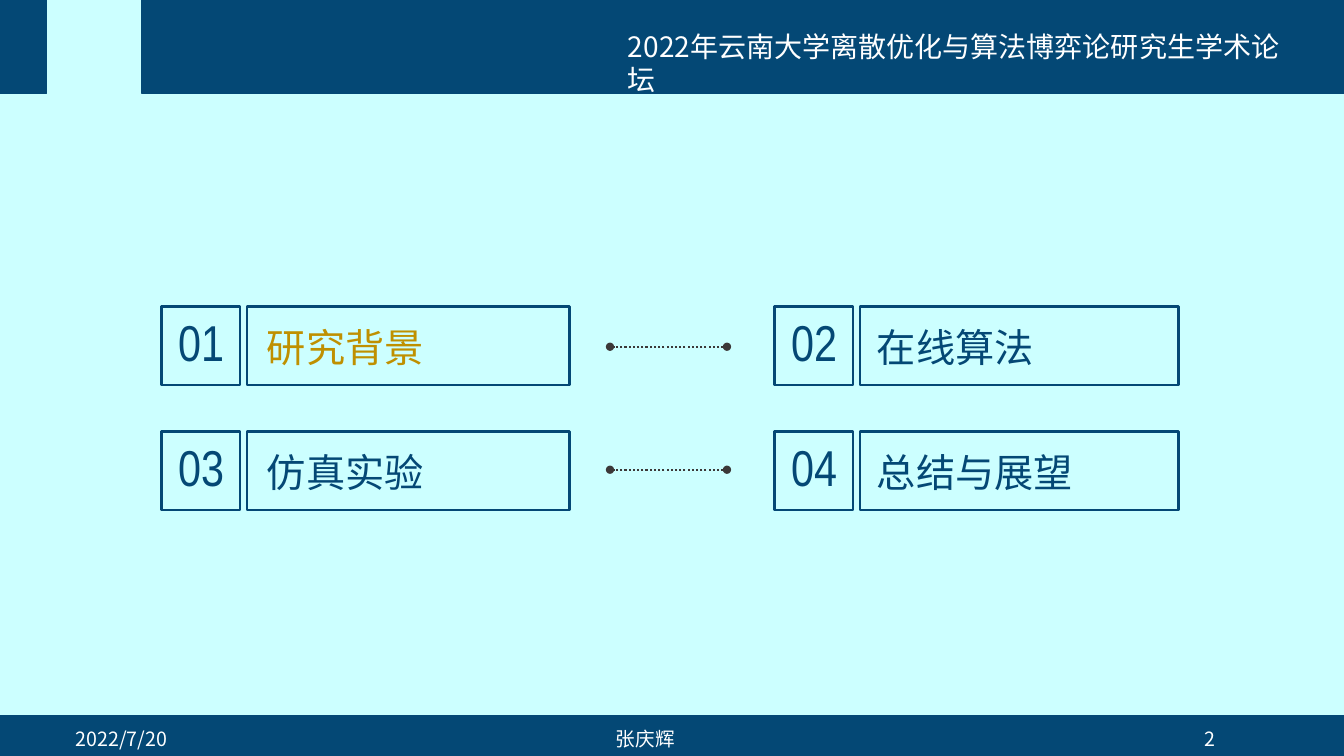
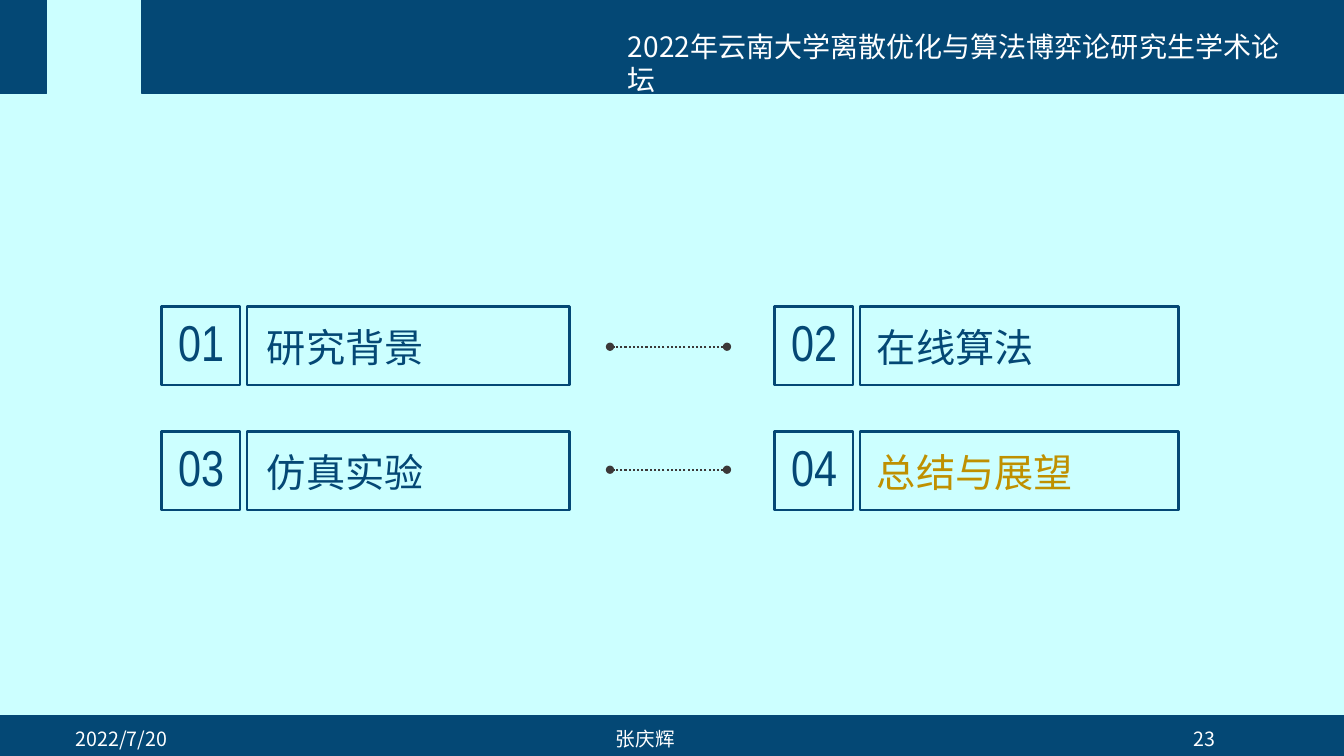
import lxml.etree
import pptx
import pptx.dml.color
import pptx.enum.dml
import pptx.enum.shapes
import pptx.enum.text
import pptx.oxml.ns
import pptx.util

inch = pptx.util.Inches
align = pptx.enum.text.PP_ALIGN
rect = pptx.enum.shapes.MSO_SHAPE.RECTANGLE
qn = pptx.oxml.ns.qn

# Theme: colours, fonts and type sizes
theme = {
    "back": "CCFFFF", "navy": "044875", "gold": "BF9000",
    "gray": "3B3838", "white": "FFFFFF",
    "sans": "Noto Sans CJK SC", "serif": "Times New Roman",
    "slim": "Arial Narrow",
    "title": 20, "label": 28, "digit": 36, "foot": 14,
}
wide, high = 13.33, 7.5


def tint(name):
    return pptx.dml.color.RGBColor.from_string(theme[name])


def write(home, text, at, size, font="sans", color="white",
          side=align.LEFT, mid=False):
    box = home.shapes.add_textbox(*map(inch, at))
    frame = box.text_frame
    frame.word_wrap = True
    if mid:
        frame.vertical_anchor = pptx.enum.text.MSO_ANCHOR.MIDDLE
    else:
        frame.auto_size = pptx.enum.text.MSO_AUTO_SIZE.SHAPE_TO_FIT_TEXT
    par = frame.paragraphs[0]
    par.alignment = side
    run = par.add_run()
    run.text = text
    run.font.size = pptx.util.Pt(theme[size])
    run.font.name = theme[font]
    run.font.color.rgb = tint(color)
    east = lxml.etree.SubElement(run._r.get_or_add_rPr(), qn("a:ea"))
    east.set("typeface", theme["sans"])


def block(home, at, line, fill=None):
    box = home.shapes.add_shape(rect, *map(inch, at))
    box.shadow.inherit = False
    box.line.color.rgb = tint("navy")
    box.line.width = pptx.util.Pt(line)
    if fill:
        box.fill.solid()
        box.fill.fore_color.rgb = tint(fill)
    else:
        box.fill.background()


deck = pptx.Presentation()
deck.slide_width, deck.slide_height = inch(wide), inch(high)
paper = deck.slide_master.background.fill
paper.solid()
paper.fore_color.rgb = tint("back")

# Agenda grid, row by row
topics = ["研究背景", "在线算法", "仿真实验", "总结与展望"]
left, top = 1.6, 3.04
step, drop = 6.08, 1.24
side = 0.78

# Bands and footers
band, foot = 0.93, 0.4
bands = [
    (0, 0, 0.46, band),
    (1.41, 0, wide - 1.41, band),
    (0, high - foot, wide, foot),
]

# Each slide: page number and index of the current topic
for page, now in [("2", 0), ("23", 3)]:
    slide = deck.slides.add_slide(deck.slide_layouts[6])

    # Numbered topics
    for i, topic in enumerate(topics):
        row, col = divmod(i, 2)
        x, y = left + col * step, top + row * drop
        color = "gold" if i == now else "navy"
        write(slide, topic, (x + 0.95 - 0.03 * col, y + 0.12, 3.1, 0.57),
              "label", font="serif", color=color)
        block(slide, (x + 0.85, y, 3.2 - 0.04 * col, side), 2)
        pair = slide.shapes.add_group_shape()
        block(pair, (x, y, side, side), 2)
        write(pair, f"{i + 1:02}", (x - 0.11, y, 1.01, 0.71), "digit",
              font="slim", color="navy", side=align.CENTER)

    # Dotted links between the columns
    for row in range(2):
        y = top + 0.4 + row * 1.22
        link = slide.shapes.add_connector(
            pptx.enum.shapes.MSO_CONNECTOR.STRAIGHT,
            inch(7.21), inch(y), inch(6.05), inch(y))
        link.line.color.rgb = tint("gray")
        link.line.width = pptx.util.Pt(1.5)
        link.line.dash_style = pptx.enum.dml.MSO_LINE.ROUND_DOT
        stroke = link.line._get_or_add_ln()
        for end in ("a:headEnd", "a:tailEnd"):
            lxml.etree.SubElement(stroke, qn(end)).set("type", "oval")
        lxml.etree.SubElement(link._element.spPr, qn("a:effectLst"))

    # Header and footer bands
    frame = slide.shapes.add_group_shape()
    for at in bands:
        block(frame, at, 1, fill="navy")

    # Footer and header text
    for text, x, w, way in [("2022/7/20", 0.65, 3, align.LEFT),
                            ("张庆辉", 4.15, 4.5, align.CENTER),
                            (page, 9.15, 3, align.RIGHT)]:
        write(slide, text, (x, 7.13, w, foot), "foot", side=way, mid=True)
    write(slide, "2022年云南大学离散优化与算法博弈论研究生学术论坛",
          (6.13, 0.24, 6.93, 0.44), "title")

deck.save("out.pptx")
